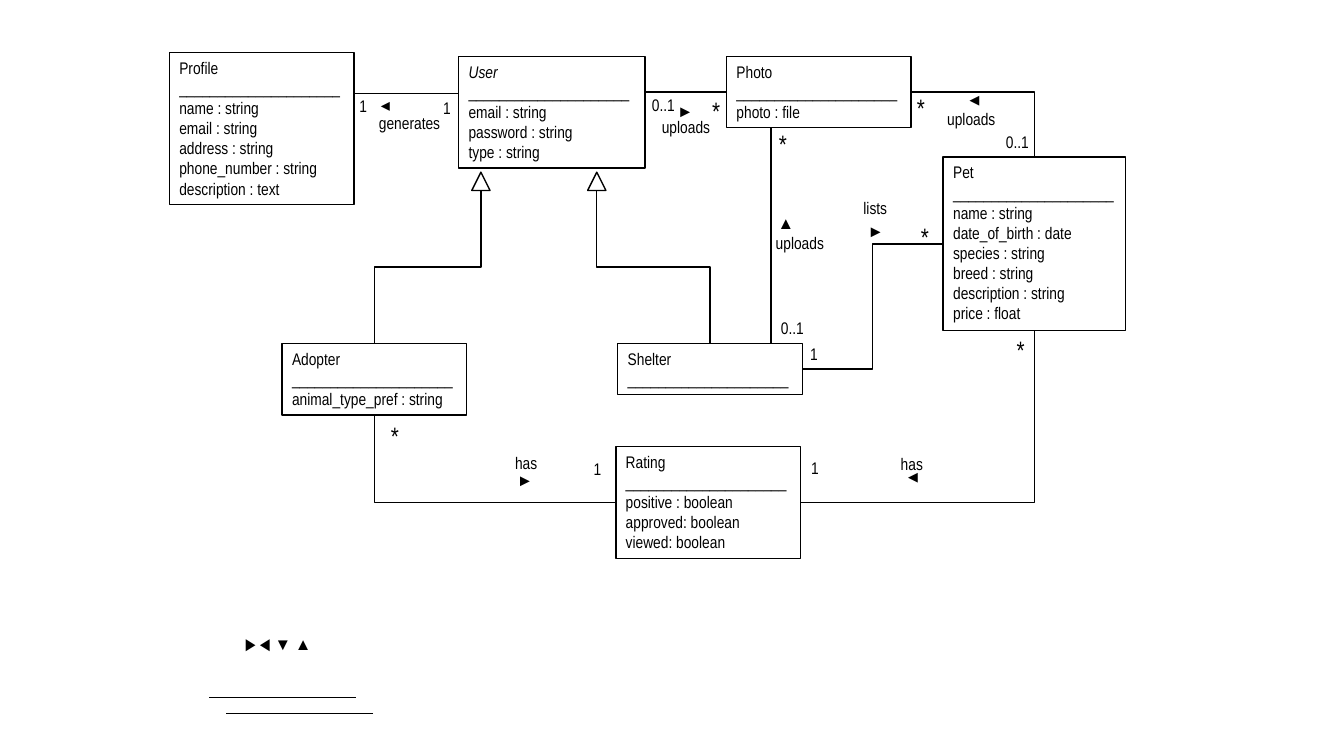
from pptx import Presentation
from pptx.dml.color import RGBColor
from pptx.enum.shapes import MSO_CONNECTOR as Link, MSO_SHAPE as Shape
from pptx.enum.text import MSO_ANCHOR as Anchor, MSO_AUTO_SIZE as AutoSize, PP_ALIGN as Align
from pptx.oxml.ns import qn
from pptx.util import Cm, Pt
from lxml import etree

INK = "000000"
FONT = "Arial Narrow"
RULE = "_" * 21

# Class boxes: name, left, top, width, height, attributes
CLASSES = [
    ("User", 11.56, 1.42, 4.7, 2.82, ["email : string", "password : string", "type : string"]),
    ("Profile", 4.27, 1.32, 4.65, 3.84,
     ["name : string", "email : string", "address : string",
      "phone_number : string", "description : text"]),
    ("Pet", 23.77, 3.96, 4.6, 4.37,
     ["name : string", "date_of_birth : date", "species : string",
      "breed : string", "description : string", "price : float"]),
    ("Adopter", 7.11, 8.66, 4.65, 1.8, ["animal_type_pref : string"]),
    ("Shelter", 15.57, 8.66, 4.65, 1.28, []),
    ("Photo", 18.31, 1.42, 4.65, 1.8, ["photo : file"]),
    ("Rating", 15.52, 11.25, 4.65, 2.82,
     ["positive : boolean", "approved: boolean", "viewed: boolean"]),
]

# Labels: text, box width, places
LABELS = [
    ("1", 0.71, [(20.17, 8.53), (14.71, 11.43), (20.19, 11.4), (8.81, 2.29), (10.92, 2.34)]),
    ("0..1", 1.09, [(16.18, 2.26), (25.1, 3.2), (19.43, 7.87)]),
    ("has", 1.07, [(12.73, 11.28), (22.45, 11.3)]),
    ("lists", 1.12, [(21.51, 4.85)]),
    ("uploads", 1.75, [(16.43, 2.82), (23.62, 2.62), (19.3, 5.74)]),
    ("generates", 2.08, [(9.3, 2.72)]),
]
STARS = [(9.6, 10.46), (22.96, 5.44), (25.37, 8.31), (17.7, 2.29), (22.86, 2.21), (19.38, 3.1)]

# Reading directions: rotation of the upward mark, places
MARKS = [
    (0, [(19.35, 5.23)]),
    (90, [(21.64, 5.49), (12.8, 11.76), (16.84, 2.46)]),
    (270, [(24.05, 2.16), (22.5, 11.66)]),
]

# Elbows: start, end, number of segments, starts vertically
ELBOWS = [
    ((12.12, 4.8), (9.44, 8.66), 3, True),
    ((15.04, 4.8), (17.89, 8.66), 3, True),
    ((23.77, 6.15), (20.22, 9.3), 3, False),
    ((22.96, 2.32), (26.07, 3.96), 2, False),
    ((9.44, 10.46), (15.52, 12.66), 2, True),
    ((20.17, 12.66), (26.07, 8.33), 2, False),
]


def color(value):
    return RGBColor.from_string(value)


def write(para, text, size=12, italic=False):
    para.alignment = Align.LEFT
    span = para.add_run()
    span.text = text
    span.font.name = FONT
    span.font.size = Pt(size)
    span.font.italic = italic
    span.font.color.rgb = color(INK)


def outline(item):
    item.line.color.rgb = color(INK)
    item.line.width = Pt(1)


def add_outlined(page, kind, left, top, width, height):
    box = page.shapes.add_shape(kind, Cm(left), Cm(top), Cm(width), Cm(height))
    box.shadow.inherit = False
    box.fill.background()
    outline(box)
    return box


def add_class(page, name, left, top, width, height, attributes):
    box = add_outlined(page, Shape.RECTANGLE, left, top, width, height)
    frame = box.text_frame
    frame.word_wrap = True
    frame.vertical_anchor = Anchor.TOP
    frame.auto_size = AutoSize.SHAPE_TO_FIT_TEXT
    write(frame.paragraphs[0], name, italic=name == "User")
    for text in [RULE, *attributes]:
        write(frame.add_paragraph(), text)
    return box


def add_label(page, text, left, top, width, height=0.77, size=12, rotation=0, wrap=False):
    box = page.shapes.add_textbox(Cm(left), Cm(top), Cm(width), Cm(height))
    box.rotation = rotation
    frame = box.text_frame
    frame.word_wrap = wrap
    frame.auto_size = AutoSize.SHAPE_TO_FIT_TEXT
    write(frame.paragraphs[0], text, size)


def add_line(page, start, end, kind=Link.STRAIGHT):
    line = page.shapes.add_connector(kind, *[Cm(n) for n in (*start, *end)])
    outline(line)
    etree.SubElement(line._element.spPr, qn("a:effectLst"))
    return line


def add_elbow(page, start, end, segments, vertical):
    if vertical:
        # Lay the path on its side; a quarter turn then stands it up
        middle_x, middle_y = (start[0] + end[0]) / 2, (start[1] + end[1]) / 2
        half_x, half_y = (end[0] - start[0]) / 2, (end[1] - start[1]) / 2
        start = middle_x - half_y, middle_y + half_x
        end = middle_x + half_y, middle_y - half_x
    properties = add_line(page, start, end, Link.ELBOW)._element.spPr
    properties.find(qn("a:prstGeom")).set("prst", f"bentConnector{segments}")
    if vertical:
        properties.find(qn("a:xfrm")).set("rot", str(90 * 60000))


def main():
    deck = Presentation()
    deck.slide_width, deck.slide_height = Cm(33.87), Cm(19.05)
    page = deck.slides.add_slide(deck.slide_layouts[6])

    # Classes
    boxes = {entry[0]: add_class(page, *entry) for entry in CLASSES}

    # Inheritance heads and bent relations
    for left in (11.89, 14.81):
        add_outlined(page, Shape.ISOSCELES_TRIANGLE, left, 4.34, 0.46, 0.46)
    for elbow in ELBOWS:
        add_elbow(page, *elbow)

    # Straight relations
    user_photo = add_line(page, (18.31, 2.32), (16.26, 2.32))
    user_photo.begin_connect(boxes["Photo"], 1)
    add_line(page, (19.43, 8.66), (19.43, 3.22))
    add_line(page, (11.56, 2.36), (8.92, 2.36))

    # Names, multiplicities and reading directions
    for text, width, places in LABELS:
        for place in places:
            add_label(page, text, *place, width)
    for place in STARS:
        add_label(page, "*", *place, 0.71, 1.03, size=18)
    for rotation, places in MARKS:
        for place in places:
            add_label(page, "▲", *place, 0.94, rotation=rotation)
    add_label(page, "▲", 9.14, 2.21, 1.09, 0.74, size=11, rotation=270, wrap=True)

    # Spare marks and lines below the diagram
    add_label(page, "▶︎ ◀︎ ▼ ▲", 5.92, 15.85, 5.64, wrap=True)
    for left, top in ((5.26, 17.58), (5.69, 17.98)):
        add_line(page, (left + 3.71, top), (left, top))

    deck.save("out.pptx")


if __name__ == "__main__":
    main()
